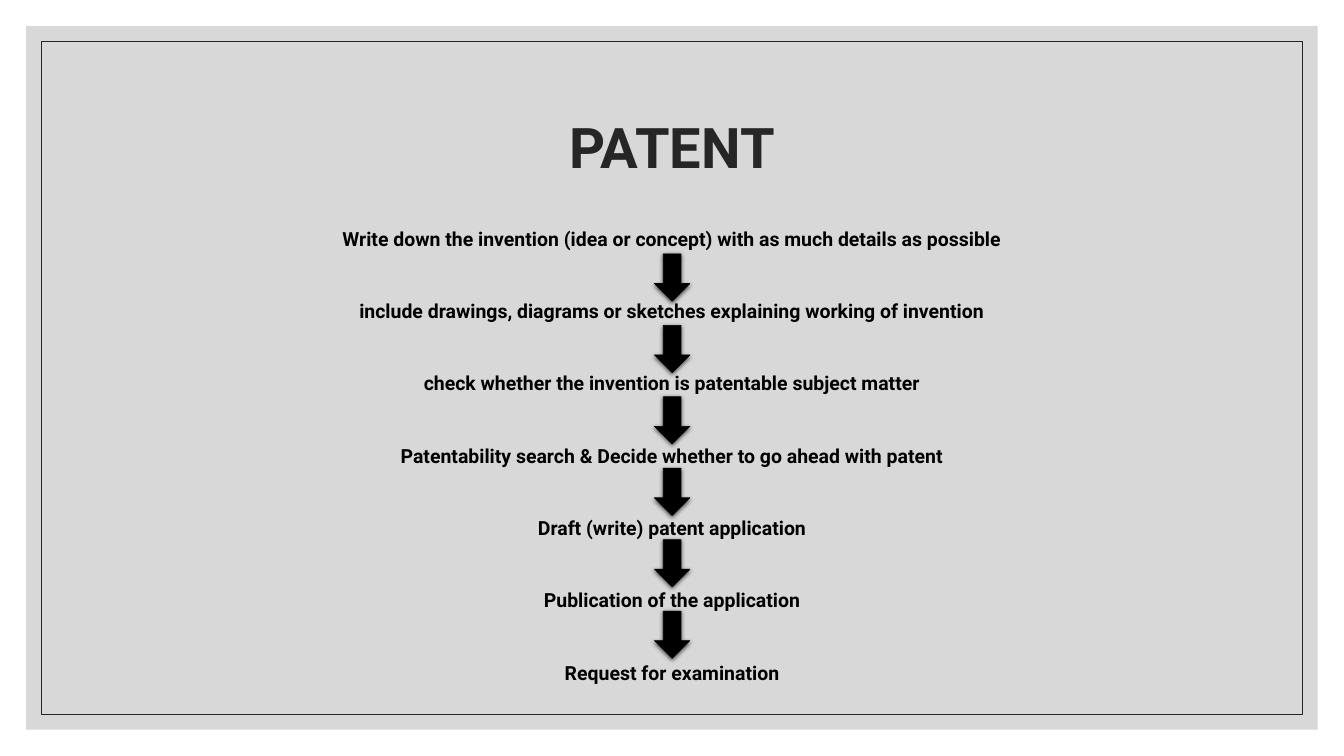
from lxml.etree import SubElement
from pptx import Presentation
from pptx.dml.color import RGBColor
from pptx.enum.shapes import MSO_SHAPE as Shape
from pptx.enum.text import MSO_ANCHOR as Anchor, PP_ALIGN as Align
from pptx.oxml.ns import qn
from pptx.util import Cm, Pt

BLACK = RGBColor(0x00, 0x00, 0x00)
CHARCOAL = RGBColor(0x26, 0x26, 0x26)
GREY = RGBColor(0xBF, 0xBF, 0xBF)
FONT = "Roboto"
SLIDE_WIDTH, SLIDE_HEIGHT = 33.87, 19.05

STEPS = [
    "Write down the invention (idea or concept) with as much details as possible",
    "include drawings, diagrams or sketches explaining working of invention",
    "check whether the invention is patentable subject matter",
    "Patentability search & Decide whether to go ahead with patent",
    "Draft (write) patent application",
    "Publication of the application",
    "Request for examination",
]


def add_preset(slide, preset, left, top, width, height):
    """Add a preset shape without a shadow, measured in centimetres."""
    shape = slide.shapes.add_shape(preset, Cm(left), Cm(top), Cm(width), Cm(height))
    shape.shadow.inherit = False
    return shape


def add_text(slide, box, lines, size, color, anchor, gap=0):
    """Add centred bold lines, with a gap in points before all but the first."""
    text_frame = slide.shapes.add_textbox(*map(Cm, box)).text_frame
    text_frame.word_wrap = True
    text_frame.vertical_anchor = anchor
    text_frame.text = "\n".join(lines)
    for index, paragraph in enumerate(text_frame.paragraphs):
        paragraph.alignment = Align.CENTER
        paragraph.space_before = Pt(gap if index else 0)
        paragraph.font.name = FONT
        paragraph.font.size = Pt(size)
        paragraph.font.bold = True
        paragraph.font.color.rgb = color


def add_frame(slide, left, top, width, height, inset=0.38):
    """Draw the translucent panel and the thin border inside it."""
    panel = add_preset(slide, Shape.RECTANGLE, left, top, width, height)
    panel.fill.solid()
    panel.fill.fore_color.rgb = GREY
    panel.line.fill.background()
    panel_color = panel._element.spPr.find(qn("a:solidFill"))[0]
    SubElement(panel_color, qn("a:alpha"), val="60000")

    border = add_preset(slide, Shape.RECTANGLE, left + inset, top + inset,
                        width - 2 * inset, height - 2 * inset)
    border.fill.background()
    border.line.color.rgb = CHARCOAL
    border.line.width = Pt(0.5)


def add_arrow(slide, left, top, width, height):
    """Draw a black down arrow with a soft shadow."""
    arrow = add_preset(slide, Shape.DOWN_ARROW, left, top, width, height)
    arrow.fill.solid()
    arrow.fill.fore_color.rgb = BLACK
    arrow.line.color.rgb = BLACK
    arrow.line.width = Pt(0.5)
    effects = arrow._element.spPr.find(qn("a:effectLst"))
    shadow = SubElement(effects, qn("a:outerShdw"), blurRad=str(Pt(3)),
                        dist=str(Pt(1)), dir="5400000", rotWithShape="0")
    shadow_color = SubElement(shadow, qn("a:srgbClr"), val=str(BLACK))
    SubElement(shadow_color, qn("a:alpha"), val="63000")


def add_process(slide, left, top, width, height):
    """Write the steps down the box and put an arrow between each pair."""
    add_text(slide, (left, top, width, height), STEPS, 13.9, BLACK, Anchor.TOP, gap=35)
    arrow_width, arrow_height, pitch = 0.89, 1.19, 1.8
    arrow_left = left + (width - arrow_width) / 2
    for index in range(len(STEPS) - 1):
        add_arrow(slide, arrow_left, top + 0.81 + index * pitch, arrow_width, arrow_height)


def main():
    """Build and save the patent slide."""
    presentation = Presentation()
    presentation.slide_width = Cm(SLIDE_WIDTH)
    presentation.slide_height = Cm(SLIDE_HEIGHT)
    slide = presentation.slides.add_slide(presentation.slide_layouts[6])
    margin = 0.66
    add_frame(slide, margin, margin, SLIDE_WIDTH - 2 * margin, SLIDE_HEIGHT - 2 * margin)
    add_text(slide, (2.97, 1.78, 27.94, 3.81), ["PATENT"], 40, CHARCOAL, Anchor.MIDDLE)
    add_process(slide, 2.97, 5.59, 27.94, 12.47)
    presentation.save("out.pptx")


if __name__ == "__main__":
    main()
